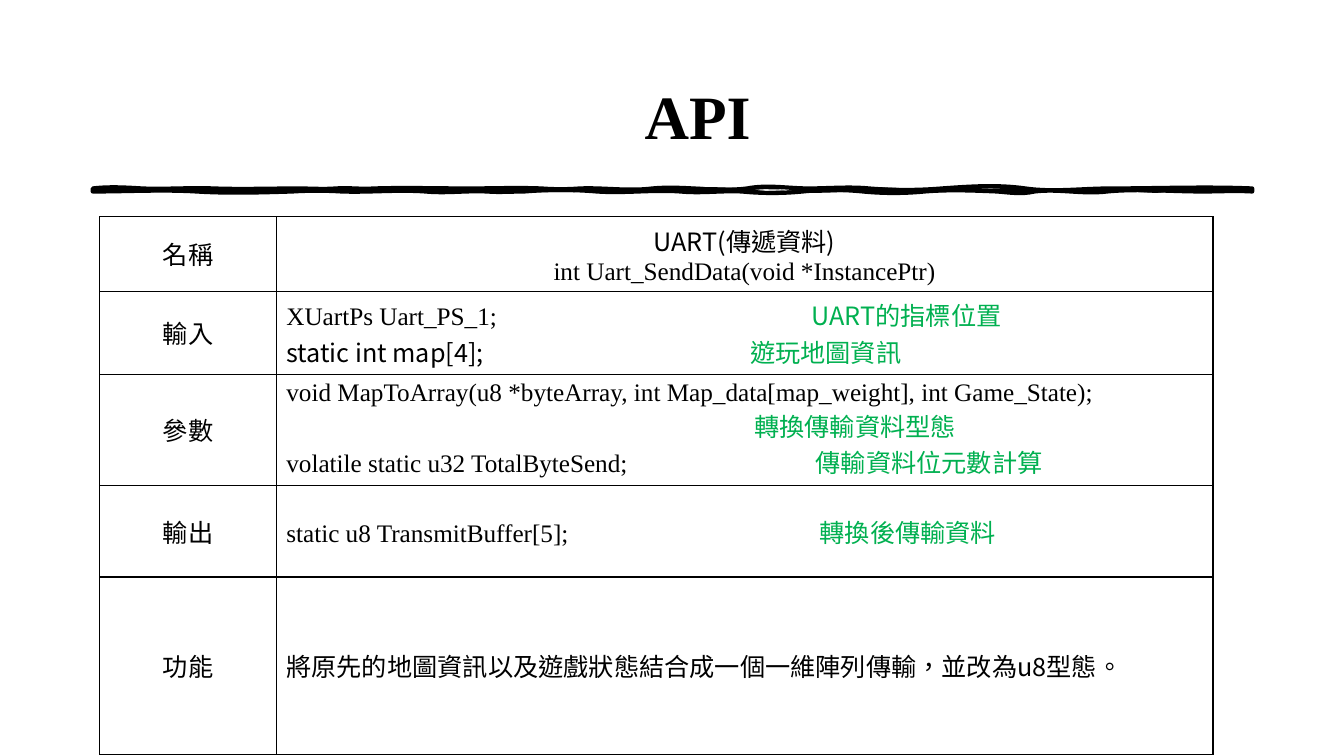
"""Build the API slide: a title, a brushed rule and a table on the UART call."""
from lxml import etree
from pptx import Presentation, util as u
from pptx.dml.color import RGBColor
from pptx.enum import text
from pptx.oxml.ns import qn

WIDE, HIGH = 13.33, 7.5
HUES = {"ink": "000000", "note": "00B050"}
SERIF, SANS = "Times New Roman", "Noto Sans CJK JP"

TITLE = "API"
COLS = [1.75, 9.29]
ROWS = [0.67, 0.69, 0.91, 0.91, 1.76]
HEAD = [("UART(傳遞資料)", SANS), ("int Uart_SendData(void *InstancePtr)", SERIF)]
# label, then lines of (code, font, note, tab stop)
BODY = [
    ("輸入", [("XUartPs Uart_PS_1;", SERIF, "UART的指標位置", 5.21),
            ("static int map[4];", SANS, "遊玩地圖資訊", 4.6)]),
    ("參數", [("void MapToArray(u8 *byteArray, int Map_data[map_weight], int Game_State);", SERIF, "", 0),
            ("", SERIF, "轉換傳輸資料型態", 4.64),
            ("volatile static u32 TotalByteSend;", SERIF, "傳輸資料位元數計算", 5.25)]),
    ("輸出", [("static u8 TransmitBuffer[5];", SERIF, "轉換後傳輸資料", 5.29)]),
    ("功能", [("將原先的地圖資訊以及遊戲狀態結合成一個一維陣列傳輸，並改為u8型態。", SANS, "", 0)]),
]

LEFT, RIGHT, TOP, LOW = 0.92, 12.42, 1.87, 1.9
UNIT = 1000
OUTLINE = (
    [(1.41, -2, -1), (2.12, 1, -1), (2.96, 1, 0), (3.33, 0, 1), (3.71, -1, 1), (4.65, -1, 0),
     (5.37, 0, -1), (5.75, 1, 1), (6.47, -1, 3), (7.41, -3, 4), (8.02, -4, 0), (8.62, 0, -2),
     (9.34, 2, 2), (10.17, -2, -4), (11.01, 4, 0), (12.42, 0, -2)],
    [(11.93, -1, 0), (10.98, 0, -3), (10.26, 3, -3), (9.89, 3, 1), (9.17, -1, -2), (8.56, 2, 2),
     (7.96, -2, -2), (7.36, 2, 2), (6.75, -1, 2), (5.92, -2, 2), (5.2, -2, -2), (4.83, 0, 1),
     (4.22, -1, 2), (3.39, -2, 1), (2.9, -1, -1), (1.95, 1, 2), (0.92, -2, 0)])
FILLED = (
    [(1.52, 2, 2), (1.89, -2, -2), (2.84, 2, -2), (3.45, 2, 1), (4.05, -1, -2), (5, 2, 1),
     (5.49, -1, 0), (6.44, 0, 2), (7.39, -2, -2), (8.1, 2, 3), (9.05, -3, -1), (9.66, 1, -1),
     (10.26, 1, -2), (11.09, 2, 3), (11.7, -3, -3), (12.42, 3, 0)],
    [(11.58, 2, -3), (11.21, 3, 0), (10.72, 0, 2), (9.77, -2, 4), (9.05, -4, 4), (8.56, -4, 0),
     (7.85, 0, 3), (7.47, -3, -2), (7.1, 2, 1), (6.38, -1, -3), (5.89, 3, 1), (5.06, 1, 1),
     (4.57, -1, 0), (3.73, 0, 2), (3.36, -2, -2), (2.53, 1, 2), (2.04, -2, 1), (1.66, -1, -1),
     (0.92, 1, 2)])


def write(para, words, font=SANS, size=18, hue="ink", bold=False):
    """Add one formatted run to a paragraph."""
    run = para.add_run()
    run.text = words
    run.font.size, run.font.name, run.font.bold = u.Pt(size), font, bold
    run.font.color.rgb = RGBColor.from_string(HUES[hue])
    props = run.font._element
    props.set("lang", "zh-TW")
    etree.SubElement(props, qn("a:ea")).set("typeface", SANS)


def lines(cell, count):
    """Return the wanted number of paragraphs of a cell."""
    frame = cell.text_frame
    return [frame.paragraphs[0]] + [frame.add_paragraph() for _ in range(count - 1)]


def border(cell):
    """Clear the fill of a cell and rule its four sides."""
    cell.vertical_anchor = text.MSO_ANCHOR.MIDDLE
    props = cell._tc.get_or_add_tcPr()
    for side in ("a:lnL", "a:lnR", "a:lnT", "a:lnB"):
        edge = etree.SubElement(props, qn(side), w=str(u.Pt(1)))
        fill = etree.SubElement(edge, qn("a:solidFill"))
        etree.SubElement(fill, qn("a:srgbClr"), val=HUES["ink"])
    cell.fill.background()


def draw(trail, kind, *dots):
    """Add one drawing step to an outline."""
    step = etree.SubElement(trail, qn(kind))
    for x, y in dots:
        etree.SubElement(step, qn("a:pt"), x=str(round((x - LEFT) * UNIT)),
                         y=str(round((y - TOP) * UNIT)))


def wave(trail, start, base, bends):
    """Add the curves of one edge of the brushed rule."""
    for end, first, last in bends:
        third = (end - start) / 3
        draw(trail, "a:cubicBezTo", (start + third, base + first / 100),
             (end - third, base + last / 100), (end, base))
        start = end


def brush(slide):
    """Draw the brushed rule: one stroked outline and one filled one."""
    pen = slide.shapes.build_freeform(round(LEFT * UNIT), round(TOP * UNIT),
                                      scale=u.Inches(1) / UNIT)
    corners = [(RIGHT, TOP), (RIGHT, LOW), (LEFT, LOW)]
    pen.add_line_segments([(round(x * UNIT), round(y * UNIT)) for x, y in corners])
    shape = pen.convert_to_shape()
    shape.shadow.inherit = False
    ink = RGBColor.from_string(HUES["ink"])
    for fill in (shape.fill, shape.line.fill):
        fill.solid()
        fill.fore_color.rgb = ink
    shape.line.width = u.Pt(3)
    trails = next(shape._element.iter(qn("a:pathLst")))
    trails.clear()
    size = {"w": str(round((RIGHT - LEFT) * UNIT)), "h": str(round((LOW - TOP) * UNIT))}
    for (upper, lower), style in ((OUTLINE, {"fill": "none"}), (FILLED, {"stroke": "0"})):
        trail = etree.SubElement(trails, qn("a:path"), **size, **style)
        draw(trail, "a:moveTo", (LEFT, TOP))
        wave(trail, LEFT, TOP, upper)
        draw(trail, "a:lnTo", (RIGHT, LOW))
        wave(trail, RIGHT, LOW, lower)
        draw(trail, "a:close")


def head(slide):
    """Place and fill the title."""
    title = slide.shapes.title
    title.left, title.top, title.width, title.height = map(u.Inches, (LEFT, 0.4, 11.5, 1.45))
    frame = title.text_frame
    frame.auto_size = text.MSO_AUTO_SIZE.NONE
    frame.vertical_anchor = text.MSO_ANCHOR.MIDDLE
    frame.margin_left = frame.margin_right = frame.margin_top = u.Inches(0.12)
    frame.margin_bottom = u.Inches(0.1)
    para = frame.paragraphs[0]
    para.alignment = text.PP_ALIGN.CENTER
    props = para._p.get_or_add_pPr()
    props.set("marL", str(u.Inches(0.5)))
    props.set("indent", "0")
    write(para, TITLE, font=SERIF, size=44, bold=True)


def grid(slide):
    """Add the table and fill its cells."""
    box = map(u.Inches, (0.99, 2.15, sum(COLS), sum(ROWS)))
    table = slide.shapes.add_table(len(ROWS), len(COLS), *box).table
    table.first_row = table.horz_banding = False
    for col, width in zip(table.columns, COLS):
        col.width = u.Inches(width)
    for row, height in zip(table.rows, ROWS):
        row.height = u.Inches(height)
    for cell in table.iter_cells():
        border(cell)
    for row, label in enumerate(["名稱"] + [label for label, _ in BODY]):
        para = table.cell(row, 0).text_frame.paragraphs[0]
        para.alignment = text.PP_ALIGN.CENTER
        write(para, label)
    for para, (words, font) in zip(lines(table.cell(0, 1), len(HEAD)), HEAD):
        para.alignment = text.PP_ALIGN.CENTER
        write(para, words, font=font)
    for row, (_, items) in enumerate(BODY, 1):
        for para, (code, font, note, stop) in zip(lines(table.cell(row, 1), len(items)), items):
            write(para, code + ("\t" if note else ""), font=font)
            if note:
                tabs = etree.SubElement(para._p.get_or_add_pPr(), qn("a:tabLst"))
                etree.SubElement(tabs, qn("a:tab"), pos=str(u.Inches(stop)), algn="l")
                write(para, note, hue="note")


def main():
    """Make the deck and save it."""
    deck = Presentation()
    deck.slide_width, deck.slide_height = u.Inches(WIDE), u.Inches(HIGH)
    slide = deck.slides.add_slide(deck.slide_layouts[5])
    brush(slide)
    head(slide)
    grid(slide)
    deck.save("out.pptx")


if __name__ == "__main__":
    main()
